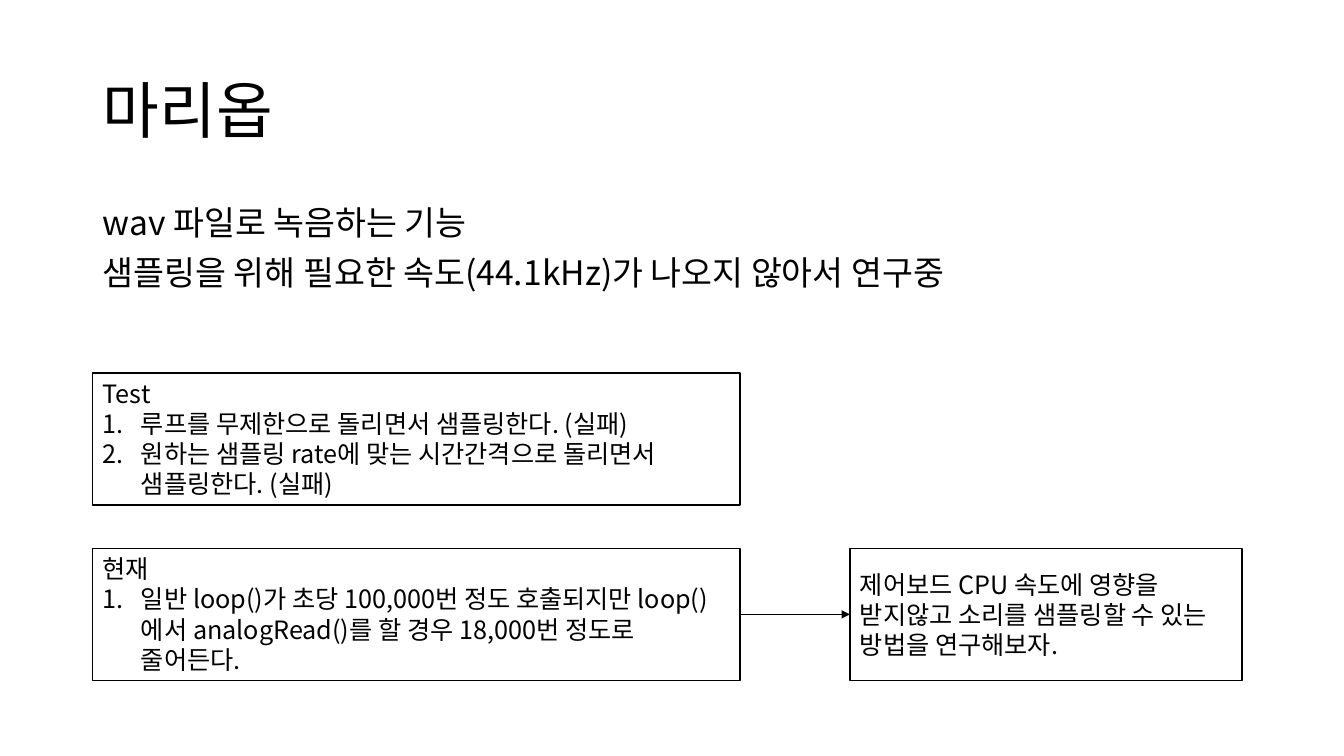
from dataclasses import dataclass

from lxml.etree import SubElement
from pptx import Presentation
from pptx.dml.color import RGBColor
from pptx.enum.shapes import MSO_CONNECTOR as Connector, MSO_SHAPE as Shape
from pptx.enum.text import MSO_ANCHOR as Anchor, PP_ALIGN as Align
from pptx.oxml.ns import qn
from pptx.util import Inches, Pt


@dataclass(frozen=True)
class Theme:
    font: str = "Noto Sans CJK KR"
    ink: RGBColor = RGBColor(0x00, 0x00, 0x00)
    paper: RGBColor = RGBColor(0xFF, 0xFF, 0xFF)
    title_size: int = 44
    body_size: int = 24
    box_size: int = 18


theme = Theme()


def write(frame, lines, size, anchor, spacing=1.0, before=0, numbered=False):
    """Fill a text frame; when numbered, every line after the first is a list item."""
    frame.word_wrap = True
    frame.vertical_anchor = anchor
    for index, line in enumerate(lines):
        paragraph = frame.paragraphs[0] if index == 0 else frame.add_paragraph()
        paragraph.alignment = Align.LEFT
        paragraph.line_spacing = spacing
        paragraph.space_before = Pt(before)
        if numbered and index > 0:
            props = paragraph._p.get_or_add_pPr()
            props.set("marL", str(Inches(0.38)))
            props.set("indent", str(-Inches(0.38)))
            SubElement(props, qn("a:buFont"), typeface="+mj-lt")
            SubElement(props, qn("a:buAutoNum"), type="arabicPeriod")
        run = paragraph.add_run()
        run.text = line
        run.font.size = Pt(size)
        run.font.name = theme.font
        run.font.color.rgb = theme.ink
        SubElement(run._r.get_or_add_rPr(), qn("a:ea"), typeface=theme.font)


def add_box(left, top, width, lines, anchor=Anchor.TOP):
    box = slide.shapes.add_shape(
        Shape.RECTANGLE, Inches(left), Inches(top), Inches(width), Inches(1.31))
    box.shadow.inherit = False
    box.fill.solid()
    box.fill.fore_color.rgb = theme.paper
    box.line.color.rgb = theme.ink
    box.line.width = Pt(1)
    write(box.text_frame, lines, theme.box_size, anchor, numbered=True)
    return box


deck = Presentation()
deck.slide_width, deck.slide_height = Inches(13.33), Inches(7.5)
slide = deck.slides.add_slide(deck.slide_layouts[6])

# Title and summary
title = slide.shapes.add_textbox(Inches(0.92), Inches(0.4), Inches(11.5), Inches(1.45))
write(title.text_frame, ["마리옵"], theme.title_size, Anchor.MIDDLE, spacing=0.9)

summary = slide.shapes.add_textbox(Inches(0.92), Inches(2), Inches(11.5), Inches(1.27))
write(summary.text_frame, [
    "wav 파일로 녹음하는 기능",
    "샘플링을 위해 필요한 속도(44.1kHz)가 나오지 않아서 연구중",
], theme.body_size, Anchor.TOP, spacing=0.9, before=10)

# Tests so far, current finding and next step
add_box(0.92, 3.7, 6.42, [
    "Test",
    "루프를 무제한으로 돌리면서 샘플링한다. (실패)",
    "원하는 샘플링 rate에 맞는 시간간격으로 돌리면서 샘플링한다. (실패)",
])
current = add_box(0.92, 5.44, 6.42, [
    "현재",
    "일반 loop()가 초당 100,000번 정도 호출되지만 loop()에서 "
    "analogRead()를 할 경우 18,000번 정도로 줄어든다.",
])
next_step = add_box(8.43, 5.44, 3.89, [
    "제어보드 CPU 속도에 영향을 받지않고 소리를 샘플링할 수 있는 방법을 연구해보자.",
], Anchor.MIDDLE)

# Arrow from the finding to the next step
arrow = slide.shapes.add_connector(
    Connector.STRAIGHT, Inches(7.34), Inches(6.1), Inches(8.43), Inches(6.1))
arrow.begin_connect(current, 3)
arrow.end_connect(next_step, 1)
arrow.line.color.rgb = theme.ink
arrow.line.width = Pt(0.5)
SubElement(arrow.line._get_or_add_ln(), qn("a:tailEnd"), type="triangle")
SubElement(arrow._element.spPr, qn("a:effectLst"))

deck.save("out.pptx")
